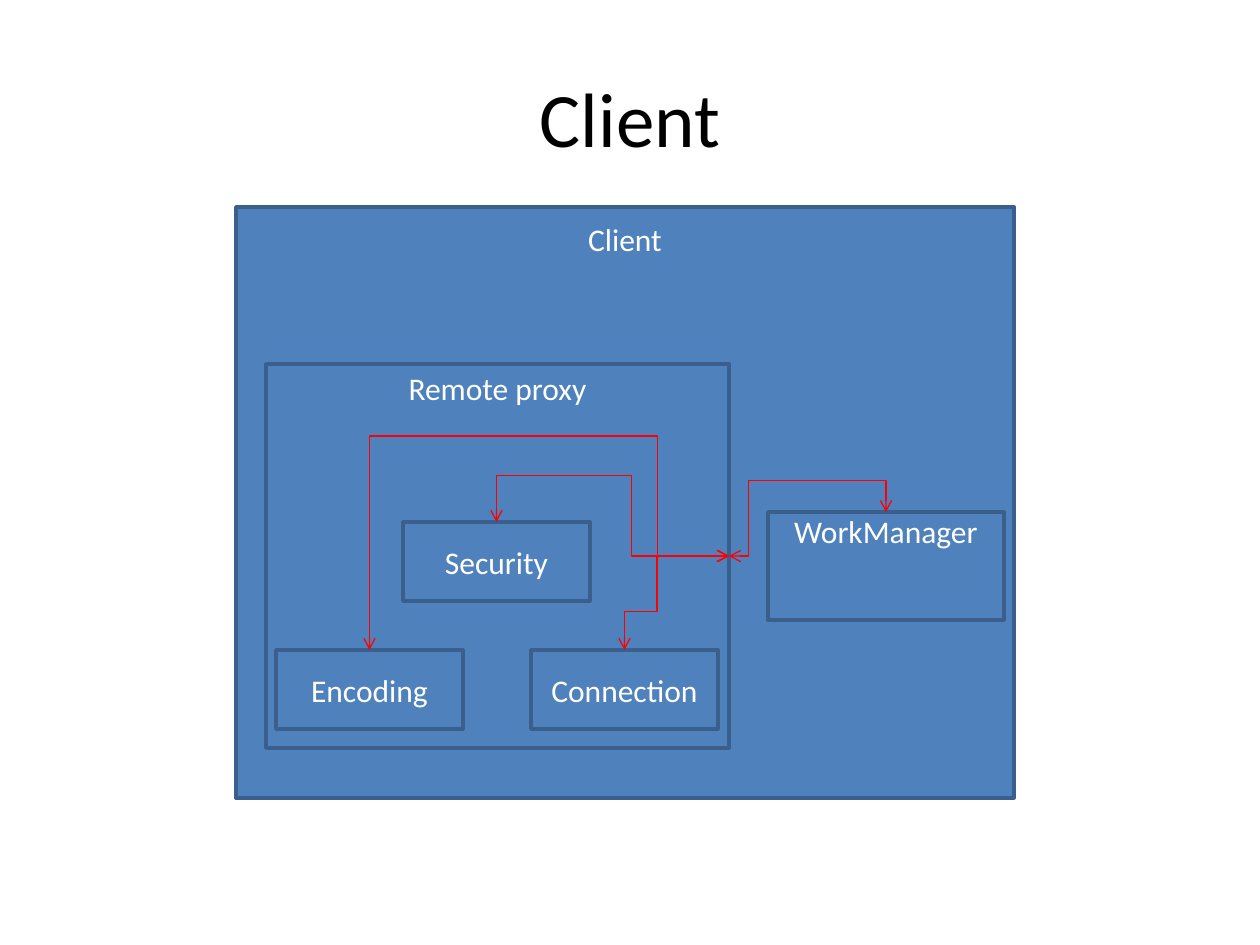
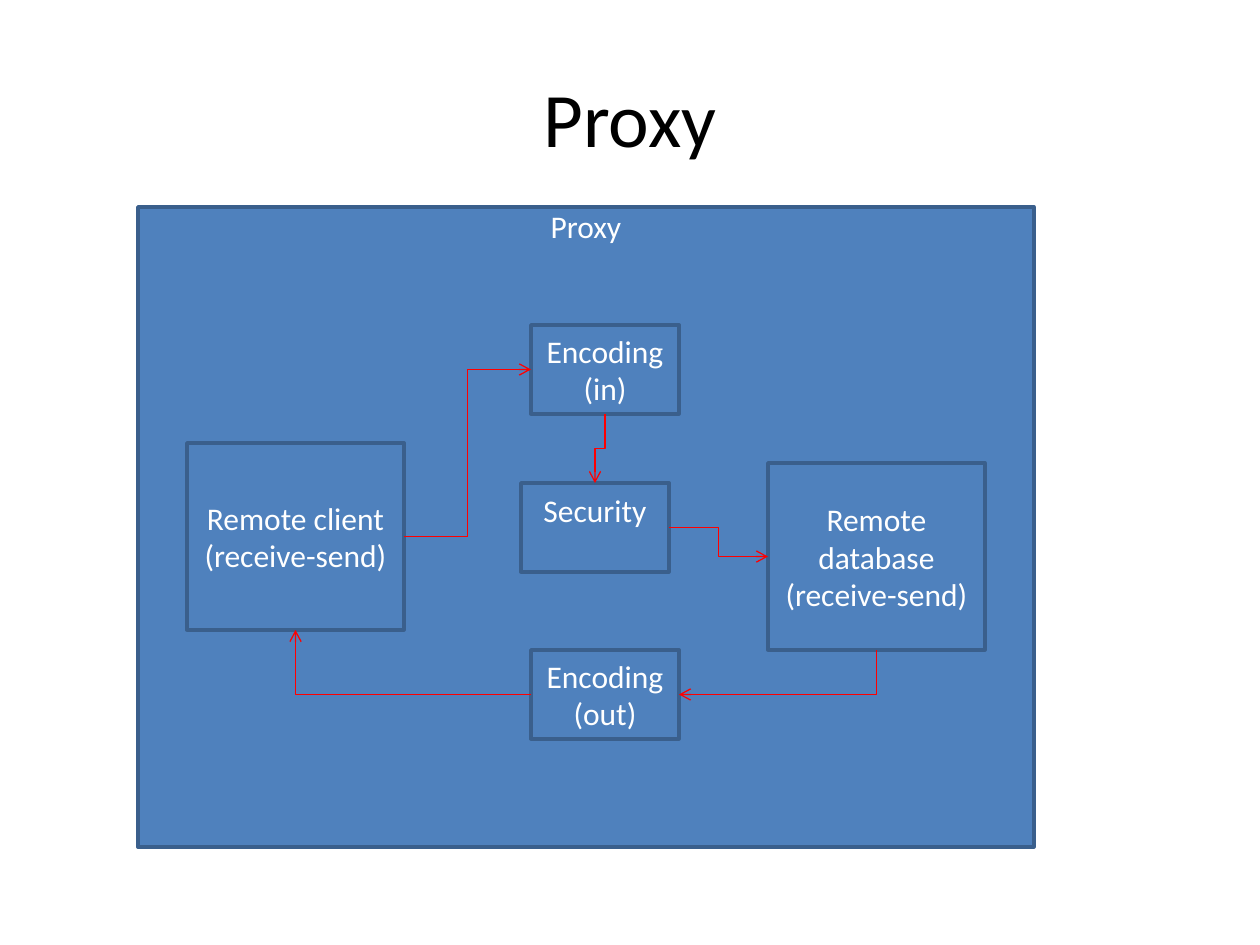
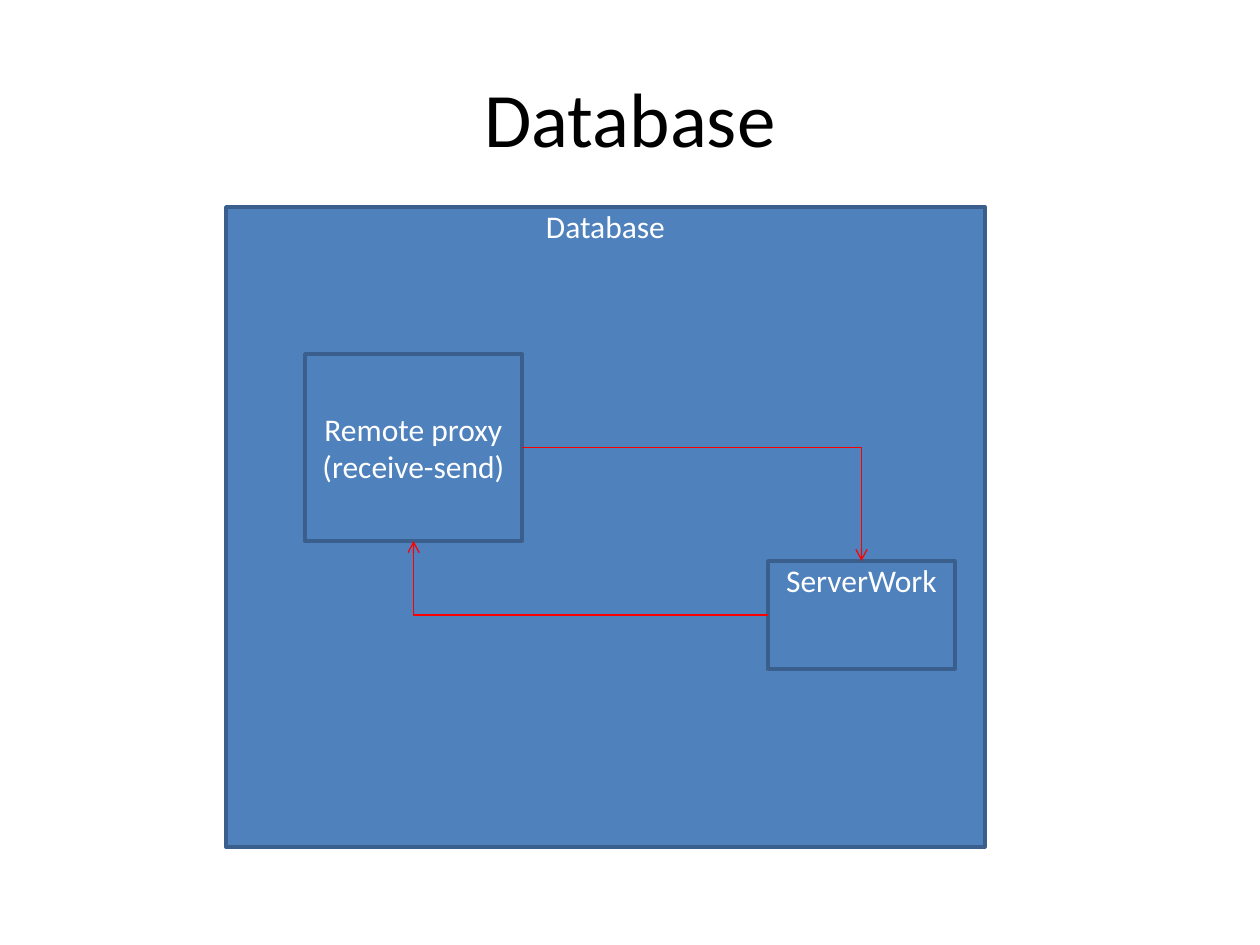
"""Build three block diagrams of the client, proxy and database."""
from lxml import etree
from pptx import Presentation
from pptx.dml.color import RGBColor
from pptx.enum.shapes import MSO_CONNECTOR, MSO_SHAPE
from pptx.enum.text import MSO_ANCHOR, PP_ALIGN
from pptx.oxml.ns import qn
from pptx.util import Emu, Pt

RECTANGLE = MSO_SHAPE.RECTANGLE
ELBOW = MSO_CONNECTOR.ELBOW
TOP_ANCHOR, MIDDLE_ANCHOR = MSO_ANCHOR.TOP, MSO_ANCHOR.MIDDLE
CENTER = PP_ALIGN.CENTER
TITLE_ONLY = 5
TOP, LEFT, BOTTOM, RIGHT = range(4)
START_TURNS = {RIGHT: 0, BOTTOM: 1, LEFT: 2, TOP: 3}

PX_PER_INCH = 126
FONT = "Calibri"
COLORS = {"box": "4F81BD", "border": "3A5F8C", "label": "FFFFFF",
          "title": "000000", "arrow": "FF0000"}
SMALL = (187, 79)
STEP = (148, 89)
REMOTE = (217, 187)


def px(length):
    """Turn a length in px into EMU."""
    return Emu(round(length * 914400 / PX_PER_INCH))


def color(name):
    """Look up a colour by its role."""
    return RGBColor.from_string(COLORS[name])


def write(frame, text, size, color_name):
    """Set centred text and format its runs."""
    frame.text = text
    frame.word_wrap = True
    for paragraph in frame.paragraphs:
        paragraph.alignment = CENTER
        for span in paragraph.runs:
            span.font.name = FONT
            span.font.size = Pt(size)
            span.font.color.rgb = color(color_name)


def add_page(deck, title):
    """Add a slide with the shared title style."""
    page = deck.slides.add_slide(deck.slide_layouts[TITLE_ONLY])
    holder = page.shapes.title
    holder.left, holder.top, holder.width, holder.height = map(px, (63, 38, 1134, 158))
    write(holder.text_frame, title, 44, "title")
    holder.text_frame.vertical_anchor = MIDDLE_ANCHOR
    return page


def add_box(page, text, position, size, top_inset=None):
    """Add a labelled box, with the label at the top if an inset is given."""
    box = page.shapes.add_shape(RECTANGLE, *map(px, position + size))
    box.shadow.inherit = False
    box.fill.solid()
    box.fill.fore_color.rgb = color("box")
    box.line.color.rgb = color("border")
    box.line.width = Pt(2)
    frame = box.text_frame
    write(frame, text, 18, "label")
    frame.vertical_anchor = MIDDLE_ANCHOR
    if top_inset is not None:
        frame.vertical_anchor = TOP_ANCHOR
        frame.margin_top = px(top_inset)
    return box


def bend(connector, turns, adjustments):
    """Turn an elbow to its starting side and place its bends, in percent."""
    center_x = (connector.begin_x + connector.end_x) // 2
    center_y = (connector.begin_y + connector.end_y) // 2
    across = connector.end_x - connector.begin_x
    down = connector.end_y - connector.begin_y
    for _ in range(turns):
        across, down = down, -across
    width, height = abs(across), abs(down)
    frame = connector._element.spPr.find(qn("a:xfrm"))
    for name, value in (("rot", turns * 5400000), ("flipH", int(across < 0)),
                        ("flipV", int(down < 0))):
        frame.set(name, str(value))
    connector.left, connector.top = center_x - width // 2, center_y - height // 2
    connector.width, connector.height = width, height

    geometry = connector._element.spPr.find(qn("a:prstGeom"))
    geometry.set("prst", f"bentConnector{len(adjustments) + 2}")
    guides = geometry.find(qn("a:avLst"))
    for number, percent in enumerate(adjustments, 1):
        name = f"adj{number}" if len(adjustments) > 0 else "adj"
        etree.SubElement(guides, qn("a:gd"), name=name, fmla=f"val {round(percent * 1000)}")


def add_link(page, source, source_side, target, target_side, adjustments=(), both=False):
    """Join two boxes with a red elbow arrow."""
    connector = page.shapes.add_connector(ELBOW, 0, 0, 0, 0)
    connector.begin_connect(source, source_side)
    connector.end_connect(target, target_side)
    bend(connector, START_TURNS[source_side], adjustments)
    connector.line.color.rgb = color("arrow")
    connector.line.width = Pt(0.75)
    line = connector.line._get_or_add_ln()
    for end in ("headEnd", "tailEnd") if both else ("tailEnd",):
        etree.SubElement(line, qn(f"a:{end}"), type="arrow")
    etree.SubElement(connector._element.spPr, qn("a:effectLst"))


def build_client(deck):
    """Show the client and its remote proxy."""
    page = add_page(deck, "Client")
    add_box(page, "Client", (236, 207), (778, 591), 13)
    proxy = add_box(page, "Remote proxy", (266, 364), (463, 384), 5)
    manager = add_box(page, "WorkManager", (768, 512), (236, 108), 0)
    security = add_box(page, "Security", (403, 522), SMALL)
    encoding = add_box(page, "Encoding", (276, 650), SMALL)
    connection = add_box(page, "Connection", (531, 650), SMALL)
    for target, adjustments in ((encoding, (19.8, -127.8)), (security, (41.9, 236.7)),
                                (connection, (68.9, 59.3))):
        add_link(page, proxy, RIGHT, target, TOP, adjustments, both=True)
    add_link(page, manager, TOP, proxy, RIGHT, (-71.1, 87.5), both=True)


def build_proxy(deck):
    """Show the path of a request through the proxy."""
    page = add_page(deck, "Proxy")
    add_box(page, "Proxy", (138, 207), (896, 640), 0)
    client = add_box(page, "Remote client\n(receive-send)", (187, 443), REMOTE)
    security = add_box(page, "Security", (521, 483), STEP, 8)
    encoding_in = add_box(page, "Encoding\n(in)", (531, 325), STEP)
    encoding_out = add_box(page, "Encoding\n(out)", (531, 650), STEP)
    database = add_box(page, "Remote database\n(receive-send)", (768, 463), REMOTE)
    add_link(page, client, RIGHT, encoding_in, LEFT, (50,))
    add_link(page, encoding_in, BOTTOM, security, TOP, (50,))
    add_link(page, security, RIGHT, database, LEFT, (50,))
    add_link(page, database, BOTTOM, encoding_out, RIGHT)
    add_link(page, encoding_out, LEFT, client, BOTTOM)


def build_database(deck):
    """Show the database and its server work."""
    page = add_page(deck, "Database")
    add_box(page, "Database", (226, 207), (759, 640), 0)
    proxy = add_box(page, "Remote proxy\n(receive-send)", (305, 354), REMOTE)
    work = add_box(page, "ServerWork", (768, 561), (187, 108), 0)
    add_link(page, proxy, RIGHT, work, TOP)
    add_link(page, work, LEFT, proxy, BOTTOM)


def main():
    """Build and save the deck."""
    deck = Presentation()
    deck.slide_width, deck.slide_height = px(1260), px(945)
    build_client(deck)
    build_proxy(deck)
    build_database(deck)
    deck.save("out.pptx")


if __name__ == "__main__":
    main()
